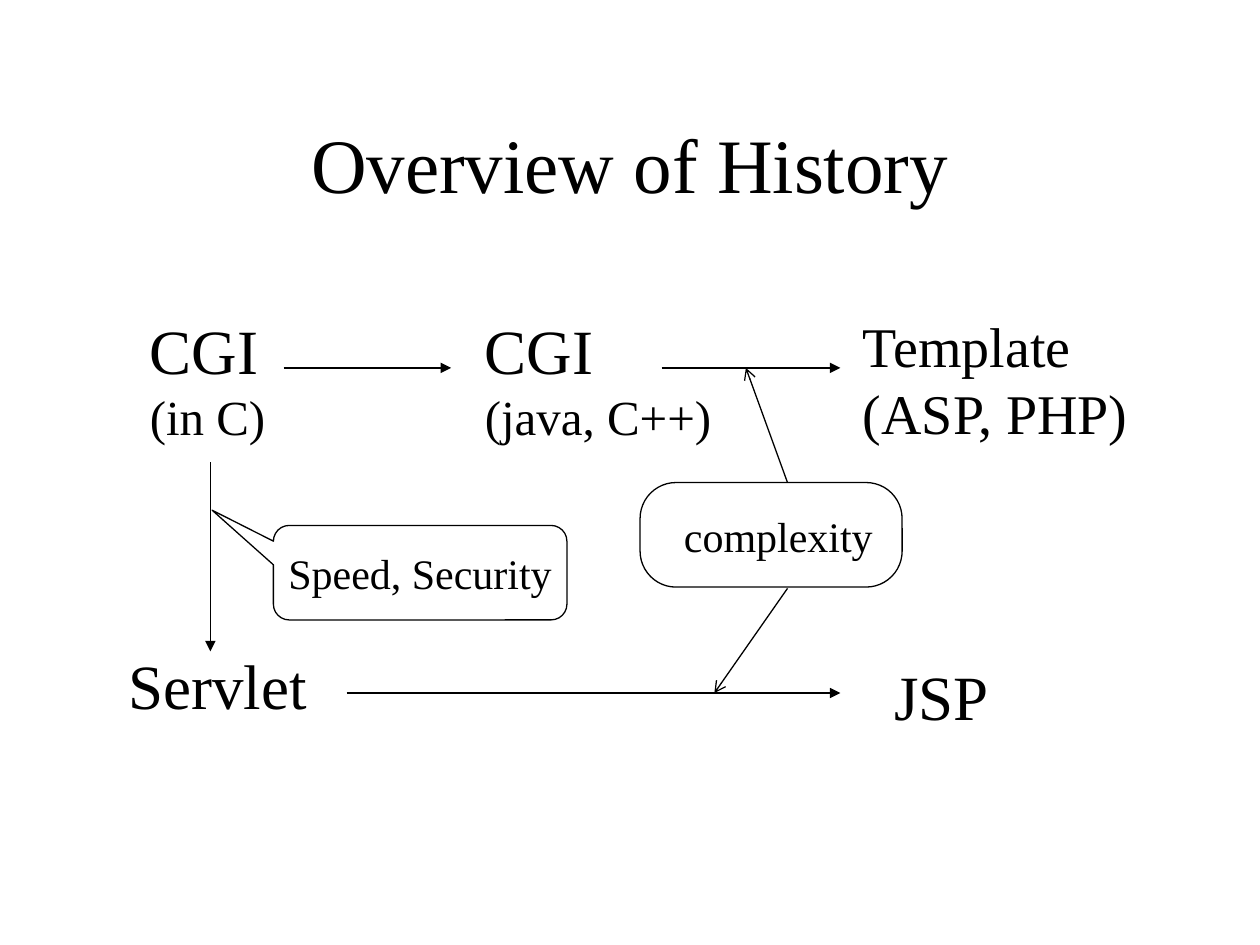
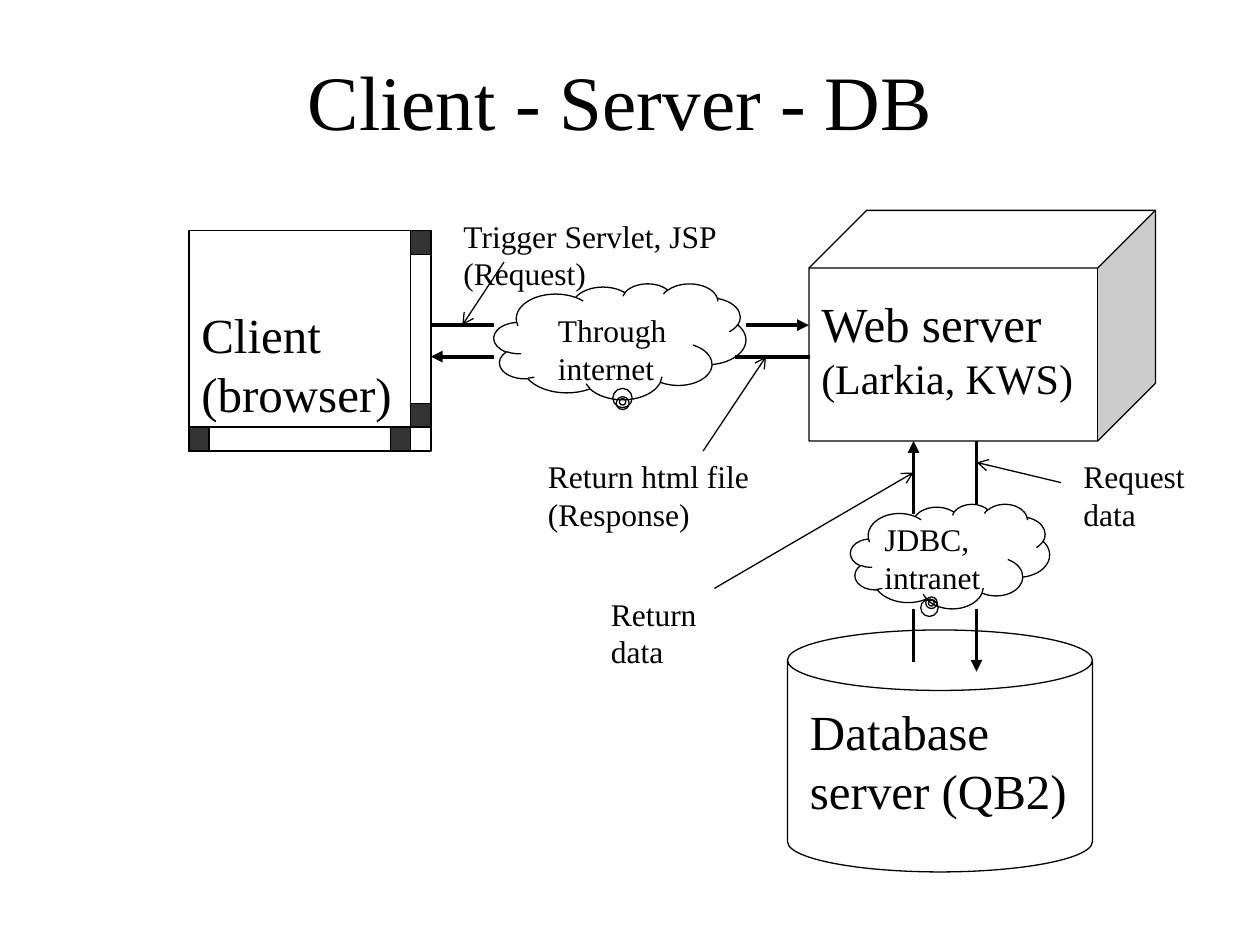
from lxml import etree
from pptx import Presentation
from pptx.dml.color import RGBColor
from pptx.enum.shapes import MSO_CONNECTOR, MSO_SHAPE as SHAPE
from pptx.enum.text import MSO_ANCHOR as ANCHOR, PP_ALIGN as ALIGN
from pptx.oxml.ns import qn
from pptx.util import Inches, Pt

COLORS = {"ink": "000000", "paper": "FFFFFF", "scroll": "333333"}
FONT = "Times New Roman"
THIN, THICK = 0.75, 2.25
BAR_W, BAR_H = 0.16, 0.19  # scroll bar buttons of the browser window


def set_text(sp, lines, align=ALIGN.LEFT, anchor=ANCHOR.TOP, wrap=True):
    """Fill a shape with one paragraph for each (text, size) pair."""
    tf = sp.text_frame
    tf.word_wrap = wrap
    tf.vertical_anchor = anchor
    tf.margin_left = tf.margin_right = Inches(0.1)
    tf.margin_top = tf.margin_bottom = Inches(0.05)
    for i, (text, size) in enumerate(lines):
        p = tf.paragraphs[0] if i == 0 else tf.add_paragraph()
        p.text = text
        p.alignment = align
        for r in p.runs:
            r.font.name = FONT
            r.font.size = Pt(size)
            r.font.color.rgb = RGBColor.from_string(COLORS["ink"])


# shapes: preset, box, fill, adjustments, text lines
# lines: start, end, width, arrowhead at the end
# labels: box, text lines
history = {
    "title": ("Overview of History", 0.67),
    "shapes": [
        (SHAPE.ROUNDED_RECTANGULAR_CALLOUT, (2.17, 4.17, 2.33, 0.75), None,
         (-0.709, -0.662, 0.167), [("Speed, Security", 24)]),
        (SHAPE.ROUNDED_RECTANGLE, (5.08, 3.83, 2.08, 0.83), None, (0.344,), []),
    ],
    "lines": [
        ((2.25, 2.92), (3.58, 2.92), THIN, "triangle"),
        ((5.25, 2.92), (6.67, 2.92), THIN, "triangle"),
        ((1.67, 3.67), (1.67, 5.17), THIN, "triangle"),
        ((2.75, 5.5), (6.67, 5.5), THIN, "triangle"),
        ((6.25, 4.67), (5.67, 5.5), THIN, "arrow"),
        ((6.25, 3.83), (5.92, 2.92), THIN, "arrow"),
    ],
    "labels": [
        ((1.09, 2.42, 1.25, 1.17), [("CGI", 36), ("(in C)", 28)]),
        ((3.75, 2.42, 2.08, 1.17), [("CGI", 36), ("(java, C++)", 28)]),
        ((6.75, 2.42, 2.45, 1.17), [("Template", 32), ("(ASP, PHP)", 32)]),
        ((0.92, 5.08, 1.75, 0.7), [("Servlet", 36)]),
        ((7, 5.17, 1.05, 0.7), [("JSP", 36)]),
        ((5.33, 4, 1.8, 0.5), [("complexity", 24)]),
    ],
}

left, top, right, bottom = 1.5, 1.83, 3.42, 3.58  # browser window
bar_x, bar_y = right - BAR_W, bottom - BAR_H
buttons = [
    (bar_x, bar_y, "paper"),
    (left, bar_y, "scroll"),
    (bar_x - BAR_W, bar_y, "scroll"),
    (bar_x, bar_y - BAR_H, "scroll"),
    (bar_x, top, "scroll"),
]
client_server = {
    "title": ("Client - Server - DB ", 0.17),
    "shapes": [
        (SHAPE.RECTANGLE, (left, top, right - left, bottom - top), "paper", (), []),
        *[(SHAPE.RECTANGLE, (x, y, BAR_W, BAR_H), fill, (), [])
          for x, y, fill in buttons],
        (SHAPE.CUBE, (6.42, 1.67, 2.75, 1.83), "paper", (0.25,), []),
        (SHAPE.CAN, (6.25, 5, 2.42, 1.92), "paper", (0.25,), []),
        (SHAPE.CLOUD_CALLOUT, (3.92, 2.25, 2, 0.92), None, (0.011, 0.521), []),
        (SHAPE.CLOUD_CALLOUT, (6.75, 4, 1.58, 0.83), None, (-0.094, 0.448), []),
    ],
    "lines": [
        ((left, bar_y), (bar_x, bar_y), THIN, None),
        ((bar_x, bar_y), (bar_x, top), THIN, None),
        ((3.92, 2.58), (3.42, 2.58), THICK, None),
        ((5.92, 2.58), (6.42, 2.58), THICK, "triangle"),
        ((5.83, 2.83), (6.43, 2.83), THICK, None),
        ((3.92, 2.83), (3.42, 2.83), THICK, "triangle"),
        ((7.75, 3.5), (7.75, 4), THICK, None),
        ((7.75, 4.83), (7.75, 5.33), THICK, "triangle"),
        ((7.25, 5.25), (7.25, 4.83), THICK, None),
        ((7.25, 4.08), (7.25, 3.5), THICK, "triangle"),
        ((5.58, 3.58), (6.08, 2.83), THIN, "arrow"),
        ((4, 2.08), (3.67, 2.58), THIN, "arrow"),
        ((5.67, 4.67), (7.25, 3.75), THIN, "arrow"),
        ((8.42, 3.83), (7.75, 3.67), THIN, "arrow"),
    ],
    "labels": [
        ((1.5, 2.37, 2.08, 0.58), [("Client (browser)", 28)]),
        ((6.42, 2.28, 2.74, 0.45), [("Web server", 28), ("(Larkia, KWS)", 24)]),
        ((6.33, 5.52, 2.25, 0.88), [("Database server (QB2)", 28)]),
        ((4.33, 2.42, 1.92, 0.58), [("Through", 18), ("internet", 18)]),
        ((4.25, 3.58, 1.85, 0.4), [("Return html file (Response)", 18)]),
        ((3.58, 1.67, 2.33, 0.58), [("Trigger Servlet, JSP (Request)", 18)]),
        ((6.92, 4.08, 1.48, 0.57), [("JDBC,", 18), ("intranet", 18)]),
        ((8.5, 3.58, 1.27, 0.7), [("Request data", 18)]),
        ((4.75, 4.67, 1.27, 0.7), [("Return data", 18)]),
    ],
}

prs = Presentation()
prs.slide_width, prs.slide_height = Inches(10), Inches(7.5)

for content in (history, client_server):
    s = prs.slides.add_slide(prs.slide_layouts[5])
    s.background.fill.solid()
    s.background.fill.fore_color.rgb = RGBColor.from_string(COLORS["paper"])

    text, title_top = content["title"]
    title = s.shapes.title
    title.left, title.top = Inches(0.75), Inches(title_top)
    title.width, title.height = Inches(8.5), Inches(1.25)
    set_text(title, [(text, 44)], ALIGN.CENTER, ANCHOR.MIDDLE)

    for preset, box, fill, adjustments, lines in content["shapes"]:
        sp = s.shapes.add_shape(preset, *map(Inches, box))
        sp.shadow.inherit = False
        for i, value in enumerate(adjustments):
            sp.adjustments[i] = value
        if fill:
            sp.fill.solid()
            sp.fill.fore_color.rgb = RGBColor.from_string(COLORS[fill])
        else:
            sp.fill.background()
        sp.line.color.rgb = RGBColor.from_string(COLORS["ink"])
        sp.line.width = Pt(THIN)
        set_text(sp, lines, ALIGN.CENTER, ANCHOR.MIDDLE, wrap=False)

    for start, end, width, arrowhead in content["lines"]:
        line = s.shapes.add_connector(MSO_CONNECTOR.STRAIGHT, *map(Inches, start + end))
        line.line.color.rgb = RGBColor.from_string(COLORS["ink"])
        line.line.width = Pt(width)
        if arrowhead:
            etree.SubElement(line.line._get_or_add_ln(), qn("a:tailEnd"), type=arrowhead)
        etree.SubElement(line._element.spPr, qn("a:effectLst"))

    for box, lines in content["labels"]:
        set_text(s.shapes.add_textbox(*map(Inches, box)), lines)

prs.save("out.pptx")
